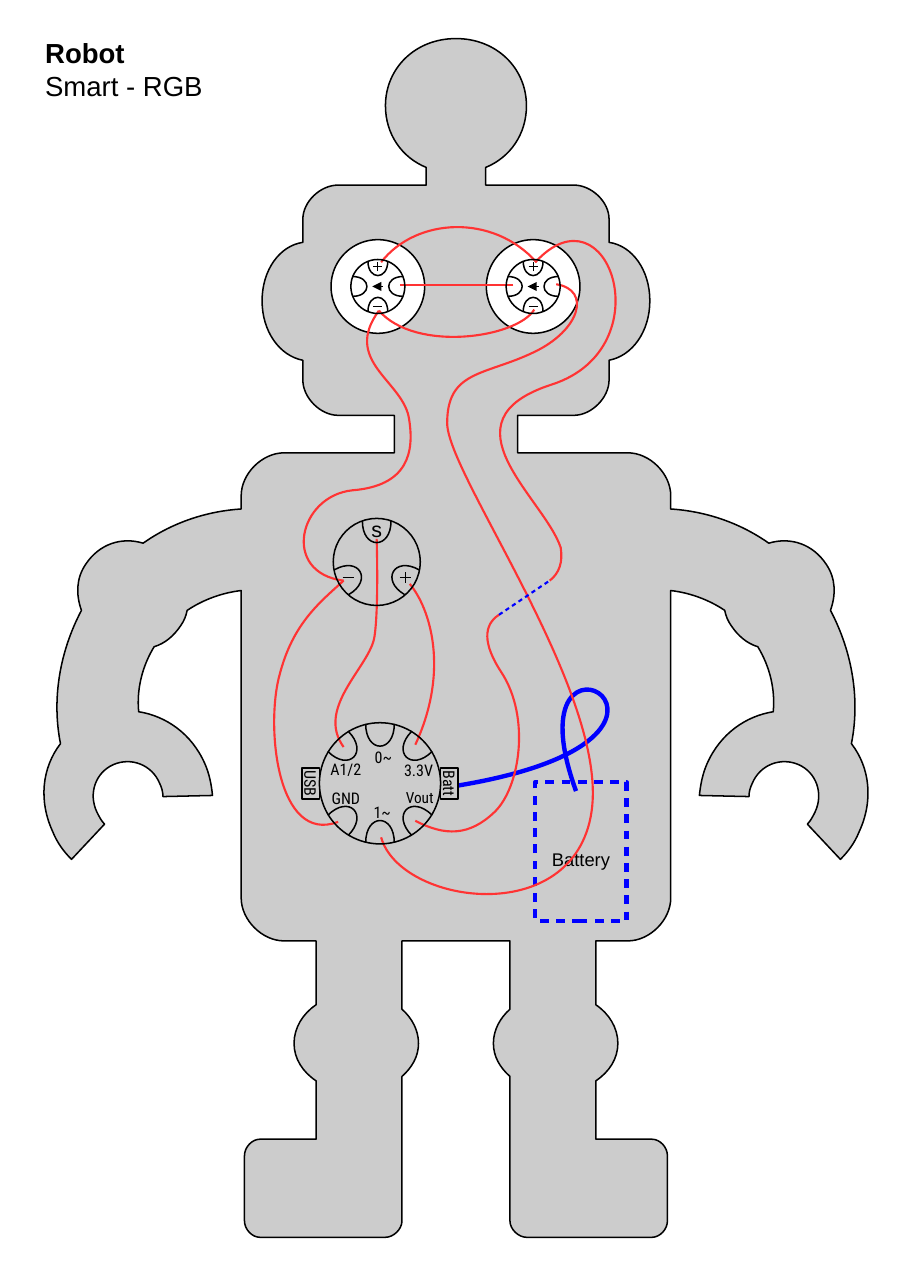
from math import cos, radians, sin
from lxml.etree import SubElement
from pptx import Presentation
from pptx.dml.color import RGBColor
from pptx.enum.shapes import MSO_CONNECTOR, MSO_SHAPE
from pptx.enum.text import MSO_ANCHOR, PP_ALIGN
from pptx.oxml.ns import qn
from pptx.util import Cm, Pt

BLACK = RGBColor(0x00, 0x00, 0x00)
WHITE = RGBColor(0xFF, 0xFF, 0xFF)
GREY = RGBColor(0xCC, 0xCC, 0xCC)
RED = RGBColor(0xFF, 0x33, 0x33)
BLUE = RGBColor(0x00, 0x00, 0xFF)
CM_PER_INCH = 2.54
MIRROR_SUM = 8.28
THIN, SIGN, WIRE, CABLE = 1, 0.79, 1.39, 2.86
LABEL_FONT = "Roboto Condensed"

HEAD = """4.14 0.35; 4.51 0.35 4.78 0.62 4.78 0.96; 4.78 1.22 4.63 1.43 4.41 1.52;
4.41 1.68; 5.21 1.68; 5.37 1.68 5.53 1.83 5.53 1.99; 5.53 2.2;
5.74 2.23 5.9 2.45 5.9 2.73; 5.9 3.01 5.74 3.23 5.53 3.27; 5.53 3.45;
5.53 3.61 5.37 3.77 5.21 3.77; 4.7 3.77; 4.7 4.11; 5.7 4.11"""
ARM = """5.9 4.11 6.09 4.3 6.09 4.5; 6.09 4.62; 6.4 4.64 6.71 4.74 6.98 4.93;
7.18 4.87 7.38 4.94 7.5 5.12; 7.59 5.25 7.59 5.4 7.54 5.54;
7.74 5.92 7.81 6.35 7.73 6.75; 7.9 6.97 7.93 7.27 7.8 7.55;
7.76 7.65 7.7 7.73 7.63 7.8; 7.33 7.48; 7.36 7.45 7.38 7.41 7.4 7.37;
7.48 7.2 7.41 7.01 7.25 6.94; 7.09 6.87 6.9 6.94 6.83 7.11;
6.81 7.15 6.8 7.19 6.8 7.23; 6.35 7.22; 6.36 7.12 6.38 7.02 6.42 6.93;
6.54 6.66 6.77 6.5 7.02 6.46; 7.04 6.26 6.99 6.05 6.88 5.87;
6.78 5.84 6.7 5.77 6.64 5.68; 6.61 5.64 6.59 5.59 6.58 5.54"""
LEG = """6.43 5.44 6.26 5.38 6.09 5.36; 6.09 8.15; 6.09 8.35 5.9 8.54 5.7 8.54;
5.41 8.54; 5.41 9.12; 5.53 9.2 5.61 9.33 5.61 9.47; 5.61 9.61 5.53 9.73 5.41 9.81;
5.41 10.34; 5.92 10.34; 5.99 10.34 6.06 10.41 6.06 10.49; 6.06 11.08;
6.06 11.16 5.99 11.23 5.92 11.23; 4.78 11.23; 4.71 11.23 4.63 11.16 4.63 11.08;
4.63 9.77; 4.54 9.69 4.48 9.59 4.48 9.47; 4.48 9.35 4.54 9.24 4.63 9.16; 4.63 8.54"""
BATTERY_CABLE = "4.16 7.13; 6.86 6.68 4.58 5.39 5.23 7.18"
WIRES = (
    "3.77 6.76; 4.08 6.09 3.91 5.53 3.72 5.3",
    "3.12 6.78; 2.86 6.42 3.36 6.05 3.4 5.78; 3.44 5.52 3.42 4.89 3.42 4.89",
    "3.07 7.46; 2.51 7.67 2.41 6.58 2.54 6.12; 2.66 5.66 2.9 5.47 3.12 5.27",
    "3.12 5.27; 2.55 5.2 2.71 4.5 3.2 4.45; 3.7 4.41 3.77 4.11 3.71 3.78; 3.64 3.45 3.11 3.27 3.44 2.82",
    "4.85 2.81; 4.69 3.07 3.77 3.2 3.44 2.82",
    "3.46 7.6; 3.63 8.21 5.21 8.44 5.37 7.37; 5.53 6.3 4.06 4.31 4.06 3.84; "
    "4.06 3.36 4.4 3.41 4.84 3.2; 5.27 3 5.37 2.63 5.05 2.58",
    "3.77 7.45; 4.04 7.59 4.26 7.59 4.49 7.37; 4.72 7.15 4.82 6.51 4.55 6.1; 4.38 5.84 4.39 5.67 4.53 5.58",
    "4.99 5.27; 5.08 5.2 5.11 5.1 5.09 4.97; 4.94 4.52 3.98 3.82 5.01 3.49; 6.03 3.16 5.52 1.66 4.86 2.38",
    "4.87 2.38; 4.48 1.94 3.78 1.97 3.46 2.38",
)
BOARD_LABELS = (("0~", 3.48, 6.87, 10.5), ("1~", 3.47, 7.37, 10.5), ("A1/2", 3.14, 6.98, 10.5),
                ("GND", 3.14, 7.24, 10.5), ("Vout", 3.81, 7.24, 10), ("3.3V", 3.8, 6.99, 10.5))


def inch(v):
    return Cm(v * CM_PER_INCH)


def parse_curve(text):
    rows = [[float(n) for n in part.split()] for part in text.split(";")]
    segs = [list(zip(row[::2], row[1::2])) for row in rows]
    return segs[0][0], segs[1:]


def add_mirror(start, segs):
    ends = [start] + [seg[-1] for seg in segs]
    back = [[(MIRROR_SUM - x, y) for x, y in reversed([end] + seg[:-1])]
            for end, seg in zip(ends, segs)]
    x, y = ends[-1]
    return start, segs + [[(MIRROR_SUM - x, y)]] + back[::-1]


def bezier(p0, p1, p2, p3, steps=24):
    for t in (i / steps for i in range(1, steps + 1)):
        u = 1 - t
        yield tuple(u**3 * a + 3 * u * u * t * b + 3 * u * t * t * c + t**3 * d
                    for a, b, c, d in zip(p0, p1, p2, p3))


def write(tf, text, size, font="Arial", bold=False, align=PP_ALIGN.CENTER, new=False):
    p = tf.add_paragraph() if new else tf.paragraphs[0]
    p.alignment = align
    r = p.add_run()
    r.text = text
    r.font.size, r.font.name, r.font.bold = Pt(size), font, bold
    r.font.color.rgb = BLACK


def set_insets(tf, x=0, y=0):
    tf.margin_left = tf.margin_right = inch(x)
    tf.margin_top = tf.margin_bottom = inch(y)


class Sketch:
    """Draws styled elements on the current slide or group."""

    def __init__(self, slide):
        self.slide = slide
        self.shapes = slide.shapes

    def start_group(self):
        self.shapes = self.slide.shapes.add_group_shape().shapes

    def end_group(self):
        self.shapes = self.slide.shapes

    def outline(self, s, color, width, dashed=False):
        s.line.color.rgb = color
        s.line.width = Pt(width)
        if dashed:
            dash = SubElement(s.line._get_or_add_ln(), qn("a:custDash"))
            SubElement(dash, qn("a:ds"), d="200000", sp="170000")

    def finish(self, s, color, width, fill=None, dashed=False):
        s.shadow.inherit = False
        if fill is None:
            s.fill.background()
        else:
            s.fill.solid()
            s.fill.fore_color.rgb = fill
        self.outline(s, color, width, dashed)
        return s

    def shape(self, kind, x, y, w, h, color=BLACK, width=THIN, **style):
        s = self.shapes.add_shape(kind, inch(x), inch(y), inch(w), inch(h))
        return self.finish(s, color, width, **style)

    def circle(self, cx, cy, radius, fill=None):
        self.shape(MSO_SHAPE.OVAL, cx - radius, cy - radius, 2 * radius, 2 * radius, fill=fill)

    def curve(self, start, segs, color=BLACK, width=THIN, fill=None, close=False):
        points, last = [], start
        for seg in segs:
            points += bezier(last, *seg) if len(seg) == 3 else seg
            last = seg[-1]
        builder = self.shapes.build_freeform(inch(start[0]), inch(start[1]))
        builder.add_line_segments([(inch(x), inch(y)) for x, y in points], close=close)
        s = builder.convert_to_shape()
        geometry = s.element.find(".//" + qn("a:path"))
        for step in geometry.findall(qn("a:lnTo")):
            geometry.remove(step)
        for i, seg in enumerate(segs, 1):
            step = SubElement(geometry, qn("a:cubicBezTo" if len(seg) == 3 else "a:lnTo"))
            geometry.insert(i, step)
            for x, y in seg:
                SubElement(step, qn("a:pt"), x=str(inch(x) - s.left), y=str(inch(y) - s.top))
        self.finish(s, color, width, fill)

    def line(self, x1, y1, x2, y2, color=BLACK, width=SIGN, dashed=False, arrow=False):
        s = self.shapes.add_connector(MSO_CONNECTOR.STRAIGHT, inch(x1), inch(y1), inch(x2), inch(y2))
        self.outline(s, color, width, dashed)
        if arrow:
            SubElement(s.line._get_or_add_ln(), qn("a:headEnd"), type="triangle")
        SubElement(s.element.spPr, qn("a:effectLst"))

    def sign(self, cx, cy, plus=False, half=0.04):
        self.line(cx - half, cy, cx + half, cy)
        if plus:
            self.line(cx, cy + half, cx, cy - half)

    def pads(self, cx, cy, angles, half, outer, inner):
        corners = ((-half, -outer), (-half, -inner), (half, -inner), (half, -outer))
        for angle in angles:
            c, n = cos(radians(angle)), sin(radians(angle))
            start, *seg = [(cx + x * c - y * n, cy + x * n + y * c) for x, y in corners]
            self.curve(start, [seg])

    def label(self, text, cx, cy, size, font=LABEL_FONT, w=0.3, h=0.16):
        s = self.shapes.add_textbox(inch(cx - w / 2), inch(cy - h / 2), inch(w), inch(h))
        self.center(s.text_frame, text, size, font)

    def center(self, tf, text, size, font=LABEL_FONT):
        tf.word_wrap = False
        tf.vertical_anchor = MSO_ANCHOR.MIDDLE
        set_insets(tf)
        write(tf, text, size, font)

    def port(self, text, cx, cy, w=0.28, h=0.16):
        s = self.shape(MSO_SHAPE.RECTANGLE, cx - w / 2, cy - h / 2, w, h)
        s.rotation = 90
        self.center(s.text_frame, text, 10.5)

    def title(self, heading, subtitle):
        s = self.slide.shapes.title
        s.left, s.top, s.width, s.height = inch(0.31), inch(0.28), inch(1.89), inch(0.66)
        tf = s.text_frame
        tf.word_wrap = True
        tf.vertical_anchor = MSO_ANCHOR.TOP
        set_insets(tf, 0.1, 0.05)
        write(tf, heading, 18, bold=True, align=PP_ALIGN.LEFT)
        write(tf, subtitle, 18, align=PP_ALIGN.LEFT, new=True)

    def led(self, cx, cy):
        self.start_group()
        self.circle(cx, cy, 0.245)
        self.pads(cx, cy, range(0, 360, 90), half=0.09, outer=0.23, inner=0.055)
        self.line(cx - 0.05, cy, cx + 0.05, cy, width=THIN, arrow=True)
        self.sign(cx, cy - 0.18, plus=True)
        self.sign(cx, cy + 0.18)
        self.end_group()

    def sensor(self, cx, cy):
        self.start_group()
        self.circle(cx, cy, 0.395)
        self.pads(cx, cy, range(0, 360, 120), half=0.13, outer=0.37, inner=0.11)
        self.label("s", cx, cy - 0.3, 14, font="Arial")
        self.sign(cx - 0.26, cy + 0.14, half=0.05)
        self.sign(cx + 0.26, cy + 0.14, plus=True, half=0.05)
        self.end_group()

    def board(self, cx, cy):
        self.start_group()
        self.circle(cx, cy, 0.55)
        self.pads(cx, cy, (0, 45, 135, 180, 225, 315), half=0.13, outer=0.54, inner=0.27)
        for label in BOARD_LABELS:
            self.label(*label)
        self.port("USB", cx - 0.63, cy)
        self.port("Batt", cx + 0.63, cy)
        self.end_group()

    def battery(self):
        s = self.shape(MSO_SHAPE.RECTANGLE, 4.86, 7.1, 0.83, 1.26, BLUE, CABLE, dashed=True)
        tf = s.text_frame
        tf.vertical_anchor = MSO_ANCHOR.TOP
        set_insets(tf, 0.02, 0.02)
        tf.margin_top = inch(0.6)
        write(tf, "Battery", 12)


def main():
    prs = Presentation()
    prs.slide_width, prs.slide_height = inch(8.27), inch(11.69)
    sketch = Sketch(prs.slides.add_slide(prs.slide_layouts[5]))
    eyes = (4.84, 3.43)
    sketch.title("Robot", "Smart - RGB")
    right_half = parse_curve(";".join((HEAD, ARM, LEG)))
    sketch.curve(*add_mirror(*right_half), fill=GREY, close=True)
    for x in eyes:
        sketch.circle(x, 2.6, 0.425, fill=WHITE)
    sketch.curve(*parse_curve(BATTERY_CABLE), BLUE, CABLE)
    sketch.battery()
    for wire in WIRES:
        sketch.curve(*parse_curve(wire), RED, WIRE)
    sketch.line(4.66, 2.59, 3.63, 2.59, RED, WIRE)
    for x in eyes:
        sketch.led(x, 2.6)
    sketch.sensor(3.42, 5.1)
    sketch.board(3.45, 7.11)
    sketch.line(4.53, 5.58, 4.99, 5.27, BLUE, WIRE, dashed=True)
    prs.save("out.pptx")


if __name__ == "__main__":
    main()
